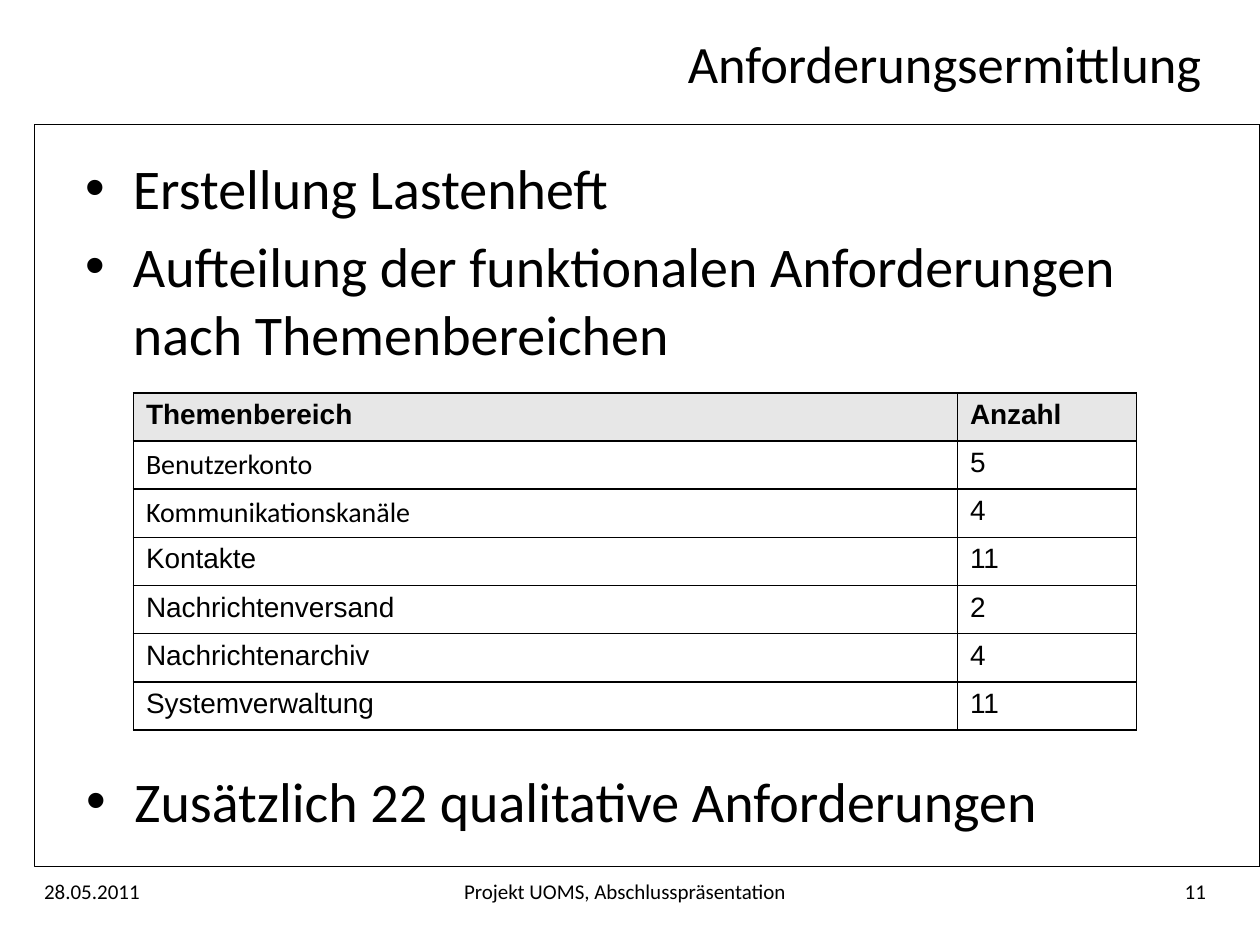
from dataclasses import dataclass

from lxml import etree
from pptx import Presentation
from pptx import util as u
from pptx.dml.color import RGBColor
from pptx.enum import shapes, text
from pptx.oxml.ns import qn


@dataclass(frozen=True)
class Theme:
    ink: RGBColor = RGBColor(0, 0, 0)
    header_fill: RGBColor = RGBColor(0xE7, 0xE7, 0xE7)
    body_font: str = "Calibri"
    table_font: str = "Arial"
    title_size: float = 30
    bullet_size: float = 32
    table_size: float = 16
    footer_size: float = 12


@dataclass(frozen=True)
class Box:
    left: float
    top: float
    width: float
    height: float

    def lengths(self) -> tuple:
        return tuple(u.Cm(v) for v in (self.left, self.top, self.width, self.height))


@dataclass(frozen=True)
class Footer:
    content: str
    left: float
    width: float
    alignment: text.PP_ALIGN


@dataclass(frozen=True)
class BulletList:
    box: Box
    items: tuple


@dataclass(frozen=True)
class Topic:
    name: str
    count: str
    font: str


THEME = Theme()
FRAME = Box(0.69, 2.51, 24.71, 14.96)
TITLE = Box(7.82, 0, 16.66, 2.54)
TABLE = Box(2.69, 7.92, 20.22, 6.8)
COLUMN_WIDTHS = (16.61, 3.61)
FOOTER_TOP, FOOTER_HEIGHT = 17.58, 1.27
BULLET_INDENT = 0.96

BULLET_LISTS = (
    BulletList(Box(1.47, 2.97, 23.06, 4.95), (
        "Erstellung Lastenheft",
        "Aufteilung der funktionalen Anforderungen nach Themenbereichen",
    )),
    BulletList(Box(1.5, 15.32, 22.61, 1.8), ("Zusätzlich 22 qualitative Anforderungen",)),
)
HEADER = ("Themenbereich", "Anzahl")
TOPICS = (
    Topic("Benutzerkonto", "5", THEME.body_font),
    Topic("Kommunikationskanäle", "4", THEME.body_font),
    Topic("Kontakte", "11", THEME.table_font),
    Topic("Nachrichtenversand", "2", THEME.table_font),
    Topic("Nachrichtenarchiv", "4", THEME.table_font),
    Topic("Systemverwaltung", "11", THEME.table_font),
)
FOOTERS = (
    Footer("28.05.2011", 0.64, 4.24, text.PP_ALIGN.LEFT),
    Footer("Projekt UOMS, Abschlusspräsentation", 4.88, 15.44, text.PP_ALIGN.CENTER),
    Footer("11", 20.32, 4.24, text.PP_ALIGN.RIGHT),
)


def apply_format(target, values: dict) -> None:
    for name, value in values.items():
        setattr(target, name, value)


def write(paragraph, content: str, size: float, font: str = THEME.body_font,
          bold: bool = False) -> None:
    run = paragraph.add_run()
    run.text = content
    apply_format(run.font, {"name": font, "size": u.Pt(size), "bold": bold})
    run.font.color.rgb = THEME.ink


def add_text_frame(slide, box: Box):
    frame = slide.shapes.add_textbox(*box.lengths()).text_frame
    apply_format(frame, {"word_wrap": True, "vertical_anchor": text.MSO_ANCHOR.TOP})
    return frame


def add_frame(slide) -> None:
    shape = slide.shapes.add_shape(shapes.MSO_SHAPE.RECTANGLE, *FRAME.lengths())
    shape.shadow.inherit = False
    shape.fill.background()
    shape.line.color.rgb = THEME.ink
    shape.line.width = u.Pt(0.75)


def set_title(slide, content: str) -> None:
    title = slide.shapes.title
    apply_format(title, dict(zip(("left", "top", "width", "height"), TITLE.lengths())))
    apply_format(title.text_frame, {"word_wrap": True,
                                    "vertical_anchor": text.MSO_ANCHOR.MIDDLE})
    paragraph = title.text_frame.paragraphs[0]
    paragraph.alignment = text.PP_ALIGN.RIGHT
    write(paragraph, content, THEME.title_size)


def add_bullets(slide, bullets: BulletList) -> None:
    frame = add_text_frame(slide, bullets.box)
    for index, item in enumerate(bullets.items):
        paragraph = frame.add_paragraph() if index else frame.paragraphs[0]
        paragraph.space_before = u.Pt(0.2 * THEME.bullet_size)
        properties = paragraph._p.get_or_add_pPr()
        properties.set("marL", str(u.Cm(BULLET_INDENT)))
        properties.set("indent", str(-u.Cm(BULLET_INDENT)))
        etree.SubElement(properties, qn("a:buFont"), typeface="Arial")
        etree.SubElement(properties, qn("a:buChar"), char="•")
        write(paragraph, item, THEME.bullet_size)


def add_borders(cell) -> None:
    properties = cell._tc.get_or_add_tcPr()
    for side in ("lnL", "lnR", "lnT", "lnB"):
        line = etree.SubElement(properties, qn(f"a:{side}"), w=str(u.Pt(1)))
        fill = etree.SubElement(line, qn("a:solidFill"))
        etree.SubElement(fill, qn("a:srgbClr"), val=str(THEME.ink))


def fill_cell(cell, content: str, font: str, is_header: bool) -> None:
    add_borders(cell)  # borders come before the fill in the cell properties
    if is_header:
        cell.fill.solid()
        cell.fill.fore_color.rgb = THEME.header_fill
    else:
        cell.fill.background()
    write(cell.text_frame.paragraphs[0], content, THEME.table_size, font, is_header)


def add_topic_table(slide) -> None:
    row_count = len(TOPICS) + 1
    table = slide.shapes.add_table(row_count, len(HEADER), *TABLE.lengths()).table
    apply_format(table, {"first_row": False, "horz_banding": False})
    for column, width in zip(table.columns, COLUMN_WIDTHS):
        column.width = u.Cm(width)
    for row in table.rows:
        row.height = u.Cm(TABLE.height / row_count)
    for column, heading in enumerate(HEADER):
        fill_cell(table.cell(0, column), heading, THEME.table_font, True)
    for row, topic in enumerate(TOPICS, start=1):
        fill_cell(table.cell(row, 0), topic.name, topic.font, False)
        fill_cell(table.cell(row, 1), topic.count, THEME.table_font, False)


def add_footer(slide, footer: Footer) -> None:
    box = Box(footer.left, FOOTER_TOP, footer.width, FOOTER_HEIGHT)
    paragraph = add_text_frame(slide, box).paragraphs[0]
    paragraph.alignment = footer.alignment
    write(paragraph, footer.content, THEME.footer_size)


def main() -> None:
    presentation = Presentation()
    apply_format(presentation, {"slide_width": u.Cm(25.4), "slide_height": u.Cm(19.05)})
    slide = presentation.slides.add_slide(presentation.slide_layouts[5])

    # Frame and title
    add_frame(slide)
    set_title(slide, "Anforderungsermittlung")

    # Bullets around the table of topics
    for bullets in BULLET_LISTS:
        add_bullets(slide, bullets)
    add_topic_table(slide)

    # Date, project and page number
    for footer in FOOTERS:
        add_footer(slide, footer)

    presentation.save("out.pptx")


if __name__ == "__main__":
    main()
